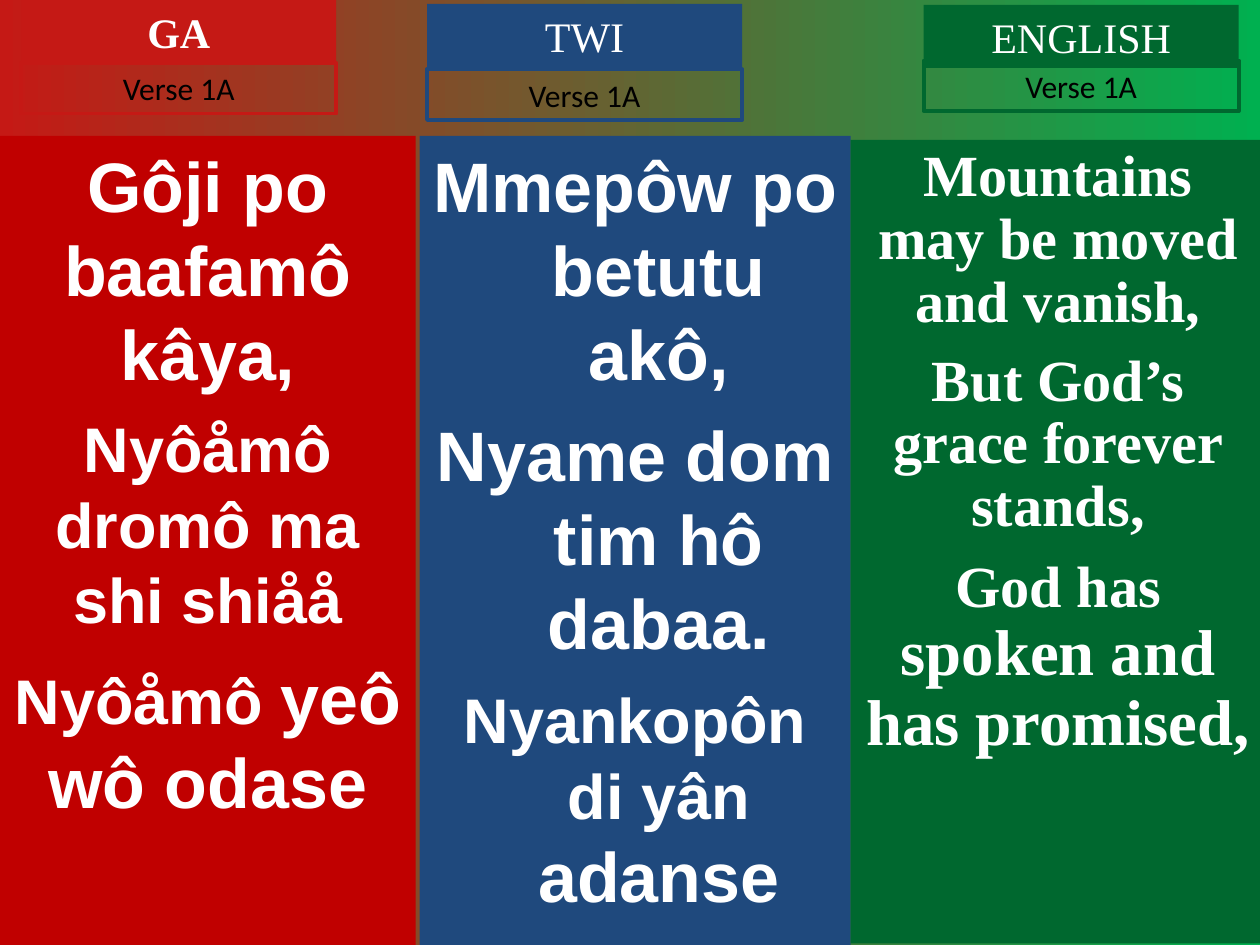
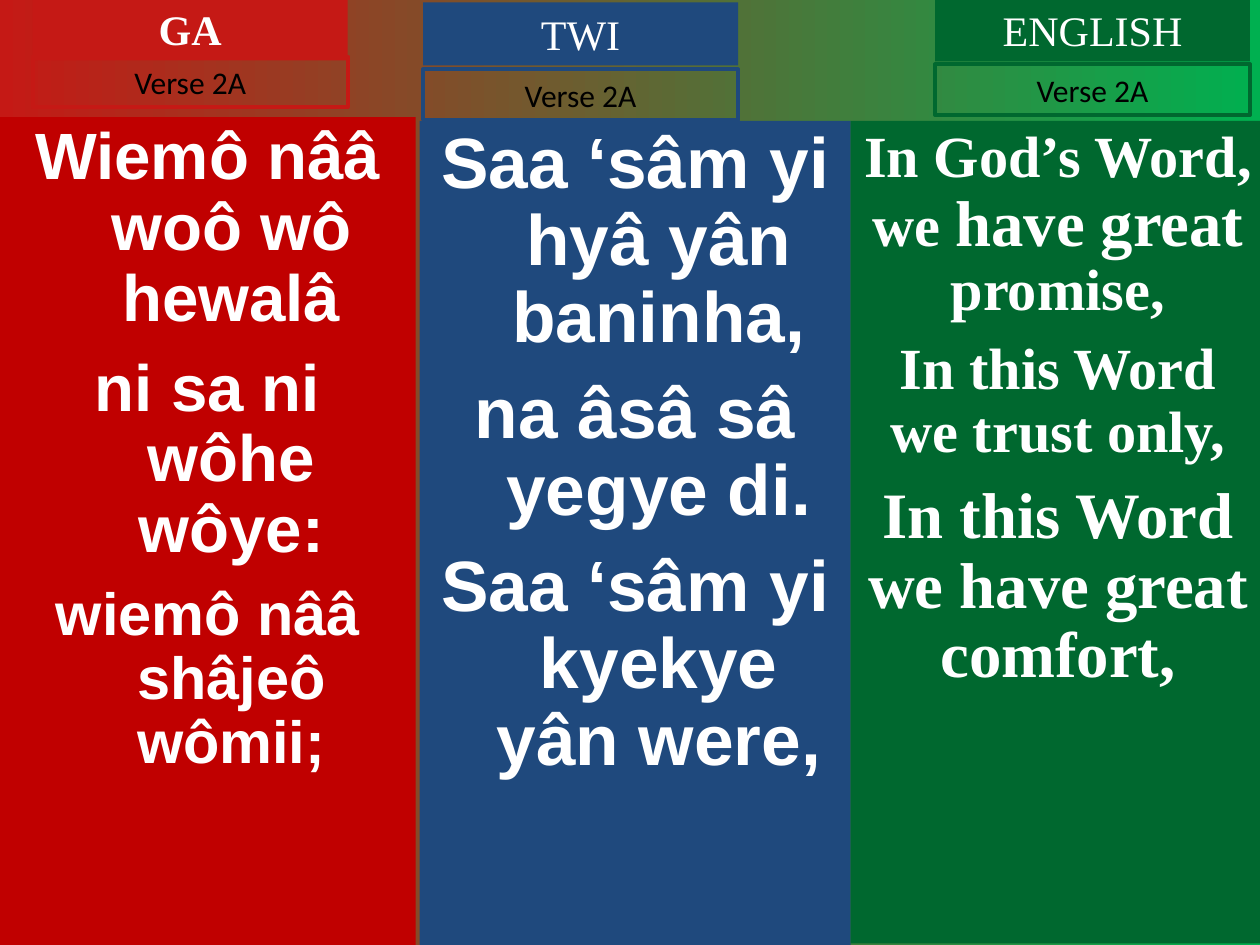
"""Build two hymn slides with Ga, Twi and English verses side by side."""
from pptx import Presentation
from pptx.dml.color import RGBColor
from pptx.enum.shapes import MSO_SHAPE as Shape
from pptx.enum.text import MSO_ANCHOR as Anchor, MSO_AUTO_SIZE as AutoSize, PP_ALIGN as Align
from pptx.util import Cm, Pt

RED, BLUE, GREEN, WHITE, BLACK = "C51915", "1F497D", "00682F", "FFFFFF", "000000"
BACKGROUND = [(0, RED), (1, "00B050")]
SERIF = "Times New Roman"
LABEL_WIDTH, TITLE_HEIGHT, VERSE_HEIGHT = 6.35, 1.27, 1.02
HANGING = 0.95

LANGUAGES = [
    {"title": "GA", "bold": True, "accent": RED, "panel": "C00000", "font": "Arial",
     "left": 0, "width": 8.38, "bottom": 19.05},
    {"title": "TWI", "bold": False, "accent": BLUE, "panel": BLUE, "font": "Arial",
     "left": 8.46, "width": 8.69, "bottom": 19.05},
    {"title": "ENGLISH", "bold": False, "accent": GREEN, "panel": GREEN, "font": SERIF,
     "left": 17.15, "width": 8.36, "bottom": 19.02},
]

VERSES = [
    ("Verse 1A", [
        {"label_left": 0.43, "title_top": 0, "verse_top": 1.27, "panel_top": 2.74,
         "hanging": False, "spacing": None, "paragraphs": [
             (0, [("Gôji po baafamô kâya,", 40)]),
             (9, [("Nyôåmô dromô ma shi shiåå", 36)]),
             (10, [("Nyôåmô ", 36), ("yeô wô odase", 40)])]},
        {"label_left": 8.61, "title_top": 0.08, "verse_top": 1.4, "panel_top": 2.74,
         "hanging": True, "spacing": None, "paragraphs": [
             (0, [("Mmepôw po betutu akô,", 40)]),
             (10, [("Nyame dom tim hô dabaa.", 40)]),
             (10, [("Nyankopôn di yân ", 36), ("adanse", 40)])]},
        {"label_left": 18.62, "title_top": 0.1, "verse_top": 1.22, "panel_top": 2.82,
         "hanging": False, "spacing": 0.9, "paragraphs": [
             (0, [("Mountains may be moved and vanish,", 33.3)]),
             (9, [("But God’s grace forever stands,", 33.3)]),
             (10, [("God has ", 33.3), ("spoken and has promised,", 37)])]},
    ]),
    ("Verse 2A", [
        {"label_left": 0.66, "title_top": -0.05, "verse_top": 1.14, "panel_top": 2.36,
         "hanging": True, "spacing": 0.9, "paragraphs": [
             (0, [("Wiemô nââ woô wô hewalâ", 37.4)]),
             (11, [("ni sa ni wôhe wôye:", 37.4)]),
             (10, [("wiemô nââ shâjeô wômii;", 34)])]},
        {"label_left": 8.53, "title_top": 0.05, "verse_top": 1.4, "panel_top": 2.44,
         "hanging": True, "spacing": 0.9, "paragraphs": [
             (0, [("Saa ‘sâm yi hyâ yân baninha,", 40.7)]),
             (11, [("na âsâ sâ yegye di.", 40.7)]),
             (11, [("Saa ‘sâm yi kyekye yân were,", 40.7)])]},
        {"label_left": 18.85, "title_top": -0.03, "verse_top": 1.3, "panel_top": 2.44,
         "hanging": False, "spacing": 0.9, "paragraphs": [
             (0, [("In God’s Word, we ", 33.3), ("have great ", 37), ("promise,", 33.3)]),
             (9, [("In this Word we trust only,", 33.3)]),
             (10, [("In this Word we have great comfort,", 37)])]},
    ]),
]


def color(value):
    return RGBColor.from_string(value)


def add_box(slide, place, paragraphs, font, fill=None, line=None, spacing=None,
            hanging=False, auto_size=AutoSize.NONE):
    shape = slide.shapes.add_shape(Shape.RECTANGLE, *map(Cm, place))
    shape.shadow.inherit = False
    if fill:
        shape.fill.solid()
        shape.fill.fore_color.rgb = color(fill)
    else:
        shape.fill.background()
    if line:
        shape.line.color.rgb = color(line)
        shape.line.width = Pt(2.25)
    else:
        shape.line.fill.background()
    frame = shape.text_frame
    frame_format = {"word_wrap": True, "vertical_anchor": Anchor.TOP, "auto_size": auto_size}
    for name, value in frame_format.items():
        setattr(frame, name, value)
    for index, (space_before, runs) in enumerate(paragraphs):
        paragraph = frame.add_paragraph() if index else frame.paragraphs[0]
        paragraph_format = {"alignment": Align.CENTER, "space_before": Pt(space_before),
                            "line_spacing": spacing}
        for name, value in paragraph_format.items():
            setattr(paragraph, name, value)
        if hanging:
            properties = paragraph._p.get_or_add_pPr()
            properties.set("marL", str(Cm(HANGING)))
            properties.set("indent", str(-Cm(HANGING)))
        for text, size in runs:
            run = paragraph.add_run()
            run.text = text
            run.font.color.rgb = color(font["color"])
            font_format = {"name": font["name"], "bold": font["bold"], "size": Pt(size)}
            for name, value in font_format.items():
                setattr(run.font, name, value)


presentation = Presentation()
presentation.slide_width, presentation.slide_height = Cm(25.4), Cm(19.05)

for verse, columns in VERSES:
    slide = presentation.slides.add_slide(presentation.slide_layouts[6])
    background = slide.background.fill
    background.gradient()
    background.gradient_angle = 0
    for stop, (position, value) in zip(background.gradient_stops, BACKGROUND):
        stop.position = position
        stop.color.rgb = color(value)

    for language, column in zip(LANGUAGES, columns):
        top = column["panel_top"]
        add_box(slide, (language["left"], top, language["width"], language["bottom"] - top),
                column["paragraphs"],
                {"name": language["font"], "bold": True, "color": WHITE},
                fill=language["panel"], spacing=column["spacing"], hanging=column["hanging"])
        add_box(slide, (column["label_left"], column["title_top"], LABEL_WIDTH, TITLE_HEIGHT),
                [(0, [(language["title"], 24)])],
                {"name": SERIF, "bold": language["bold"], "color": WHITE},
                fill=language["accent"], auto_size=AutoSize.SHAPE_TO_FIT_TEXT)
        add_box(slide, (column["label_left"], column["verse_top"], LABEL_WIDTH, VERSE_HEIGHT),
                [(0, [(verse, 18)])],
                {"name": "Calibri", "bold": False, "color": BLACK},
                line=language["accent"], auto_size=AutoSize.SHAPE_TO_FIT_TEXT)

presentation.save("out.pptx")
